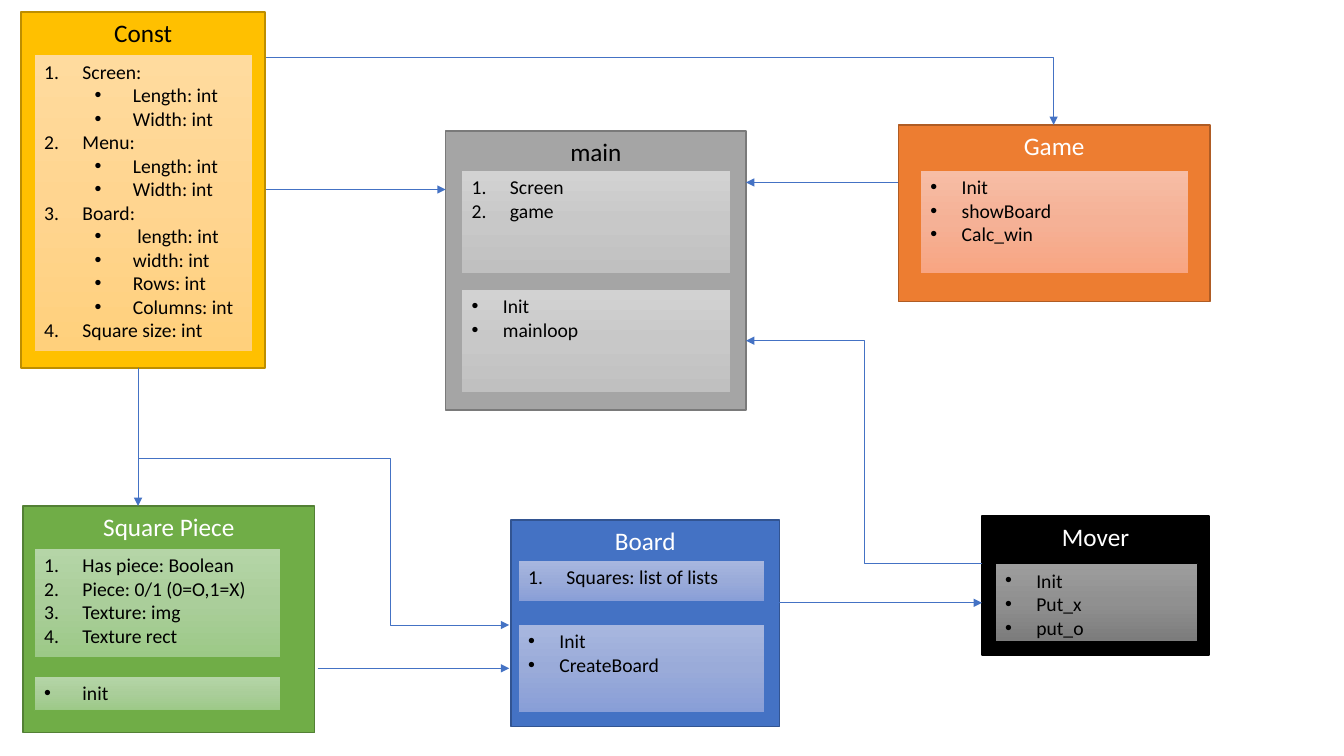
from copy import deepcopy

from lxml.etree import SubElement
from pptx import Presentation
from pptx.dml.color import RGBColor
from pptx.enum.shapes import MSO_CONNECTOR, MSO_SHAPE
from pptx.enum.text import MSO_ANCHOR, PP_ALIGN
from pptx.oxml.ns import qn
from pptx.util import Inches, Pt

FONT = "Calibri"
BLACK = RGBColor(0x00, 0x00, 0x00)
WHITE = RGBColor(0xFF, 0xFF, 0xFF)
ARROW = RGBColor(0x44, 0x72, 0xC4)
NUMBER, BULLET, SUB_BULLET = "number", "bullet", "sub-bullet"


def colours(*codes):
    """Turn hex codes into a list of colours."""
    return [RGBColor.from_string(code) for code in codes]


# Fill, outline, then the three gradient colours of the panels
GOLD = colours("FFC000", "BD8E00", "FFDB9E", "FFD590", "FFD07C")
BLUE = colours("4472C4", "325491", "A8B7DF", "9AABD9", "889ED7")
GREEN = colours("70AD47", "538035", "B5D5A7", "AACE9A", "9CC987")
ORANGE = colours("ED7D31", "AF5C24", "F7BDA5", "F5B196", "F8A582")
DARK = colours("000000", "000000", "9D9D9D", "909090", "7C7C7C")
GRAY = colours("A5A5A5", "7A7A7A", "D2D2D2", "C8C8C8", "C0C0C0")

CONST_FIELDS = [
    (NUMBER, "Screen:"), (SUB_BULLET, "Length: int"), (SUB_BULLET, "Width: int"),
    (NUMBER, "Menu:"), (SUB_BULLET, "Length: int"), (SUB_BULLET, "Width: int"),
    (NUMBER, "Board:"), (SUB_BULLET, " length: int"), (SUB_BULLET, "width: int"),
    (SUB_BULLET, "Rows: int"), (SUB_BULLET, "Columns: int"),
    (NUMBER, "Square size: int"),
]


def items(kind, *texts):
    """Give every text the same kind of list mark."""
    return [(kind, text) for text in texts]


# Title, title colour, palette, frame, then panels as (frame, items, hanging indent)
CLASSES = [
    ("Const", BLACK, GOLD, (0.21, 0.12, 2.42, 3.53),
     [((0.34, 0.54, 2.16, 2.95), CONST_FIELDS, 0.38)]),
    ("Board", WHITE, BLUE, (5.07, 5.16, 2.66, 2.05),
     [((5.14, 5.56, 2.44, 0.41), items(NUMBER, "Squares: list of lists"), 0.38),
      ((5.14, 6.19, 2.44, 0.88), items(BULLET, "Init", "CreateBoard"), 0.31)]),
    ("Square Piece", WHITE, GREEN, (0.23, 5.02, 2.89, 2.25),
     [((0.34, 5.44, 2.44, 1.08),
       items(NUMBER, "Has piece: Boolean", "Piece: 0/1 (0=O,1=X)",
             "Texture: img", "Texture rect"), 0.38),
      ((0.34, 6.71, 2.44, 0.34), items(BULLET, "init"), 0.38)]),
    ("Game", WHITE, ORANGE, (8.91, 1.24, 3.09, 1.75),
     [((9.13, 1.69, 2.66, 1.02),
       items(BULLET, "Init", "showBoard", "Calc_win"), 0.31)]),
    ("Mover", WHITE, DARK, (9.74, 5.12, 2.25, 1.38),
     [((9.87, 5.59, 2.01, 0.77), items(BULLET, "Init", "Put_x", "put_o"), 0.31)]),
    ("main", BLACK, GRAY, (4.42, 1.3, 2.98, 2.77),
     [((4.58, 1.69, 2.66, 1.02), items(NUMBER, "Screen", "game"), 0.38),
      ((4.58, 2.87, 2.66, 1.02), items(BULLET, "Init", "mainloop"), 0.31)]),
]

STRAIGHT_ARROWS = [
    ((1.37, 3.65), (1.37, 5.02)),  # Const to Square Piece
    ((3.15, 6.63), (5.05, 6.63)),  # Square Piece to Board
    ((2.64, 1.88), (4.42, 1.88)),  # Const to main
    ((8.91, 1.81), (7.4, 1.81)),   # Game to main
    ((7.73, 5.98), (9.74, 5.98)),  # Board to Mover
]


def add_box(page, frame, line_colour, line_width):
    """Add an outlined rectangle with top-anchored text."""
    box = page.shapes.add_shape(MSO_SHAPE.RECTANGLE, *map(Inches, frame))
    box.shadow.inherit = False
    box.line.color.rgb = line_colour
    box.line.width = Pt(line_width)
    box.text_frame.word_wrap = True
    box.text_frame.vertical_anchor = MSO_ANCHOR.TOP
    return box


def add_span(para, text, size, colour):
    """Add one run of text to a paragraph."""
    span = para.add_run()
    span.text = text
    span.font.name = FONT
    span.font.size = Pt(size)
    span.font.color.rgb = colour


def set_gradient(box, stop_colours):
    """Fill a box from top to bottom through three colours."""
    box.fill.gradient()
    box.fill.gradient_angle = 270
    stop_list = box.fill.gradient_stops[0]._gs.getparent()
    stop_list.insert(1, deepcopy(stop_list[0]))
    for stop, colour, position in zip(box.fill.gradient_stops, stop_colours, (0, 0.5, 1)):
        stop.color.rgb = colour
        stop.position = position


def set_list_mark(para, kind, hanging):
    """Give a paragraph its number or bullet and its indent."""
    level = 1 if kind == SUB_BULLET else 0
    para.level = level
    props = para._p.get_or_add_pPr()
    props.set("marL", str(Inches(hanging + level * 0.5)))
    props.set("indent", str(-Inches(hanging)))
    if kind == NUMBER:
        SubElement(props, qn("a:buFont"), typeface="+mj-lt")
        SubElement(props, qn("a:buAutoNum"), type="arabicPeriod")
    else:
        SubElement(props, qn("a:buFont"), typeface="Arial")
        SubElement(props, qn("a:buChar"), char="•")


def add_panel(page, frame, palette, entries, hanging):
    """Add a gradient panel holding a list of members."""
    box = add_box(page, frame, palette[0], 0.5)
    set_gradient(box, palette[2:])
    text = box.text_frame
    for index, (kind, entry) in enumerate(entries):
        para = text.add_paragraph() if index else text.paragraphs[0]
        para.alignment = PP_ALIGN.LEFT
        set_list_mark(para, kind, hanging)
        add_span(para, entry, 14, BLACK)


def add_class(page, title, title_colour, palette, frame, panels):
    """Add a titled class box and its panels."""
    box = add_box(page, frame, palette[1], 1)
    box.fill.solid()
    box.fill.fore_color.rgb = palette[0]
    para = box.text_frame.paragraphs[0]
    para.alignment = PP_ALIGN.CENTER
    add_span(para, title, 18, title_colour)
    for panel_frame, entries, hanging in panels:
        add_panel(page, panel_frame, palette, entries, hanging)


def add_arrow(page, start, end, kind=MSO_CONNECTOR.STRAIGHT):
    """Add a thin connector with a triangle at its end."""
    arrow = page.shapes.add_connector(kind, *map(Inches, start + end))
    arrow.line.color.rgb = ARROW
    arrow.line.width = Pt(0.5)
    SubElement(arrow.line._get_or_add_ln(), qn("a:tailEnd"), type="triangle")
    SubElement(arrow._element.spPr, qn("a:effectLst"))
    return arrow


def add_elbow(page, start, end, bend=None, preset="bentConnector3"):
    """Add a bent arrow, with its bend at a share of the width."""
    arrow = add_arrow(page, start, end, MSO_CONNECTOR.ELBOW)
    geometry = arrow._element.spPr.find(qn("a:prstGeom"))
    geometry.set("prst", preset)
    if bend is not None:
        SubElement(geometry.find(qn("a:avLst")), qn("a:gd"),
                   name="adj1", fmla=f"val {round(bend * 100000)}")


def main():
    """Build the class diagram and save it."""
    deck = Presentation()
    deck.slide_width, deck.slide_height = Inches(13.33), Inches(7.5)
    page = deck.slides.add_slide(deck.slide_layouts[6])
    for entry in CLASSES:
        add_class(page, *entry)
    add_elbow(page, (2.64, 0.57), (10.45, 1.24), preset="bentConnector2")
    add_elbow(page, (1.37, 4.55), (5.05, 6.2), bend=0.68)
    add_elbow(page, (9.74, 5.59), (7.4, 3.38))
    for start, end in STRAIGHT_ARROWS:
        add_arrow(page, start, end)
    deck.save("out.pptx")


main()
